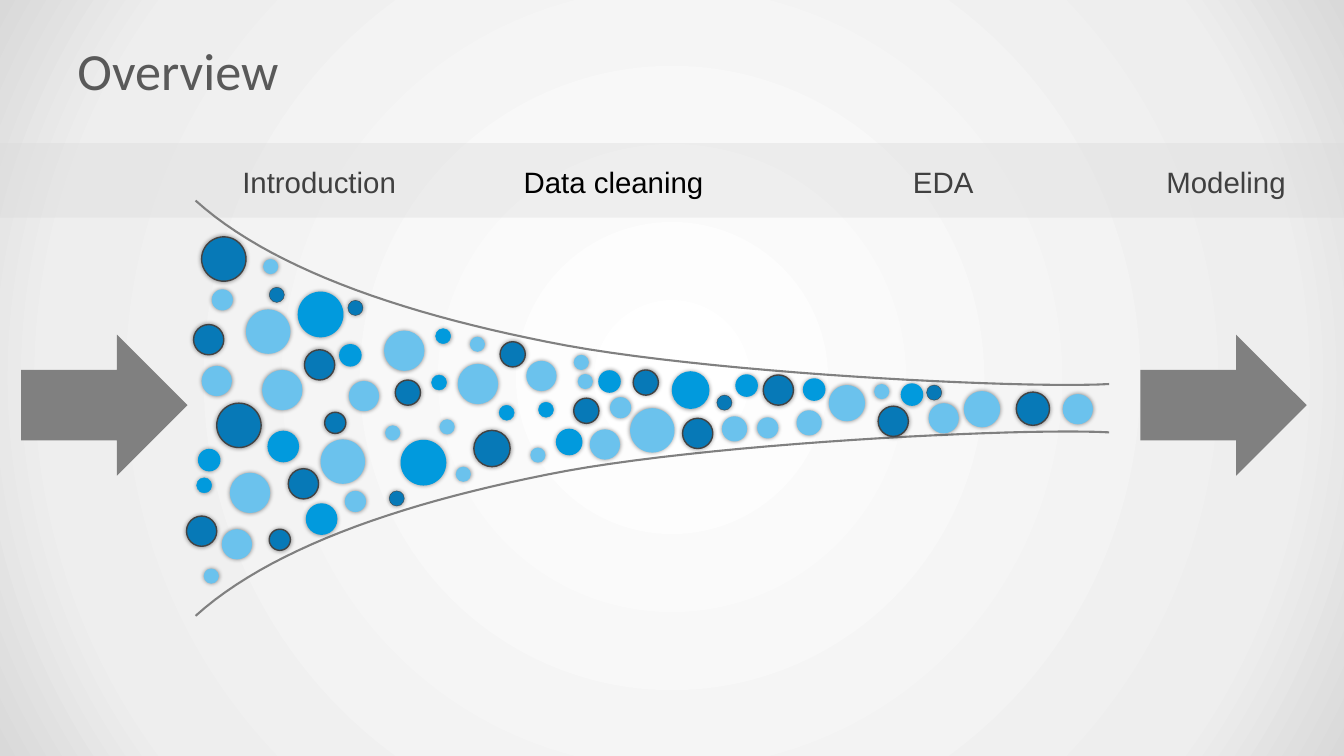
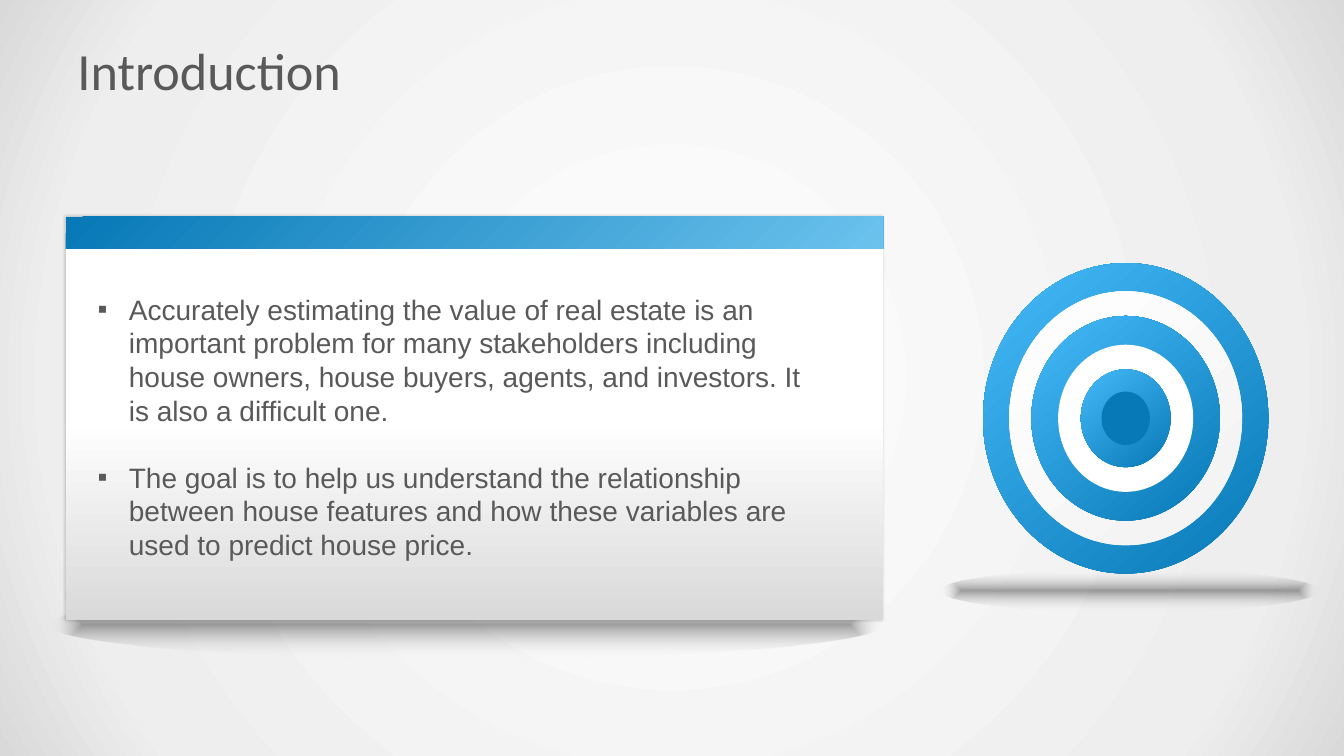
from lxml.etree import SubElement as Sub
from pptx import Presentation as Deck
from pptx.dml.color import RGBColor as Rgb
from pptx.enum.shapes import MSO_SHAPE as Kind
from pptx.enum.text import MSO_ANCHOR as Anchor, PP_ALIGN as Align
from pptx.oxml.ns import qn
from pptx.util import Inches, Pt

HUES = {
    "navy": "0779B7", "blue": "019ADD", "sky": "6BC2ED", "glow": "46B9F8",
    "white": "FFFFFF", "pale": "F2F2F2", "mist": "EEEEEE", "silver": "D9D9D9",
    "grey": "808080", "text": "595959", "label": "404040", "edge": "434343",
    "ink": "0D0D0D", "black": "000000",
}
EDGES = {"blue": "blue", "sky": None, "navy": "edge"}
DOTS = {
    "blue": {
        0.44: [(2.96, 2.9), (3.98, 4.37)],
        0.36: [(6.67, 3.69)],
        0.3: [(2.66, 4.28), (3.04, 5)],
        0.25: [(5.52, 4.26)],
        0.21: [(3.37, 3.42), (1.97, 4.46), (7.3, 3.72), (5.94, 3.68),
               (8.94, 3.81), (7.97, 3.76)],
        0.15: [(5.34, 3.99), (4.32, 3.26), (4.95, 4.02), (4.28, 3.72),
               (1.95, 4.74)],
    },
    "sky": {
        0.44: [(3.18, 4.36), (2.44, 3.07), (6.25, 4.05)],
        0.4: [(2.6, 3.67), (4.54, 3.61), (3.81, 3.28), (2.28, 4.69)],
        0.36: [(8.22, 3.82), (9.56, 3.88)],
        0.3: [(5.22, 3.58), (3.46, 3.78), (2, 3.63), (2.2, 5.25),
              (5.85, 4.26), (9.21, 4), (10.54, 3.91)],
        0.25: [(7.16, 4.13), (7.9, 4.07)],
        0.21: [(3.42, 4.87), (2.1, 2.87), (6.05, 3.94), (7.51, 4.14)],
        0.15: [(4.36, 4.16), (5.26, 4.44), (3.82, 4.22), (4.52, 4.63),
               (4.66, 3.34), (2.61, 2.57), (2.02, 5.64), (5.69, 3.52),
               (5.73, 3.71), (8.67, 3.81)],
    },
    "navy": {
        0.44: [(2, 2.35), (2.15, 4)],
        0.36: [(4.7, 4.27)],
        0.33: [(10.08, 3.89)],
        0.3: [(3.02, 3.47), (1.92, 3.22), (2.86, 4.65), (1.85, 5.12),
              (6.77, 4.15), (8.71, 4.03), (7.57, 3.72)],
        0.25: [(3.92, 3.77), (4.96, 3.39), (6.28, 3.67), (5.69, 3.95)],
        0.21: [(3.22, 4.09), (2.67, 5.25)],
        0.15: [(3.86, 4.87), (3.45, 2.98), (2.67, 2.85), (7.11, 3.92),
               (9.19, 3.82)],
    },
}
CURVE = [
    [(11, 3.81), (10.15, 3.86), (6.93, 3.7), (5.42, 3.39)],
    [(5.42, 3.39), (3.91, 3.09), (2.66, 2.64), (1.94, 1.99)],
]
AXIS = 4.05
STEPS = 24
STAGES = [
    ("Introduction", 2.17, 1.99, "label"),
    ("Data cleaning", 5.07, 2.03, "black"),
    ("EDA", 8.41, 1.89, "label"),
    ("Modeling", 10.98, 2.36, "label"),
]
BLUES = [(0, "navy", 100), (100, "glow", 100)]
WHITES = [(0, "pale", 100), (100, "white", 100)]
SHADE = [(0, "ink", 38), (100, "white", 0)]
RINGS = [
    (2.83, 3.08, BLUES), (2.31, 2.52, WHITES), (1.87, 2.03, BLUES),
    (1.34, 1.46, "white"), (0.89, 0.97, BLUES), (0.48, 0.53, "navy"),
]
HUB = (11.165, 4.15)
POINTS = [
    "Accurately estimating the value of real estate is an important problem "
    "for many stakeholders including house owners, house buyers, agents, and "
    "investors. It is also a difficult one.",
    "The goal is to help us understand the relationship between house "
    "features and how these variables are used to predict house price.",
]


def hue(name):
    return Rgb.from_string(HUES[name])


def node(root, tag, **atts):
    return Sub(root, qn(tag), {key: str(val) for key, val in atts.items()})


def tint(root, name, clear):
    color = node(root, "a:srgbClr", val=HUES[name])
    if clear < 100:
        node(color, "a:alpha", val=clear * 1000)


def blend(root, fill, stops, way):
    fill.background()
    old = next(root.iter(qn("a:noFill")))
    grad = node(old.getparent(), "a:gradFill", rotWithShape=1)
    old.getparent().replace(old, grad)
    row = node(grad, "a:gsLst")
    for place, name, clear in stops:
        tint(node(row, "a:gs", pos=place * 1000), name, clear)
    if isinstance(way, str):
        track = node(grad, "a:path", path=way)
        node(track, "a:fillToRect", l=50000, t=50000, r=50000, b=50000)
    else:
        node(grad, "a:lin", ang=way * 60000, scaled=0)


def draw(home, kind, box, paint, way=0, edge=None, width=1):
    shape = home.add_shape(kind, *map(Inches, box))
    shape.shadow.inherit = False
    if isinstance(paint, str):
        shape.fill.solid()
        shape.fill.fore_color.rgb = hue(paint)
    else:
        blend(shape.element, shape.fill, paint, way)
    if edge:
        shape.line.color.rgb = hue(edge)
        shape.line.width = Pt(width)
    else:
        shape.line.fill.background()
    return shape


def cast(shape, clear, blur, way=0):
    root = shape.element.spPr.find(qn("a:effectLst"))
    shade = node(root, "a:outerShdw", blurRad=Pt(blur), dist=0,
                 dir=way * 60000, algn="ctr", rotWithShape=0)
    tint(shade, "black", clear)


def write(home, box, lines, size, color, font="Arial", side=Align.LEFT,
          anchor=Anchor.MIDDLE):
    frame = home.add_textbox(*map(Inches, box)).text_frame
    frame.word_wrap = True
    frame.vertical_anchor = anchor
    for num, line in enumerate(lines):
        para = frame.add_paragraph() if num else frame.paragraphs[0]
        para.alignment = side
        run = para.add_run()
        run.text = line
        run.font.size = Pt(size)
        run.font.name = font
        run.font.color.rgb = hue(color)
    return frame.paragraphs


def mark(para):
    props = para._p.get_or_add_pPr()
    props.set("marL", str(Inches(0.31)))
    props.set("indent", str(Inches(-0.31)))
    node(props, "a:buFont", typeface="Arial")
    node(props, "a:buChar", char="▪")


def bend(ends, part):
    rest = 1 - part
    loads = (rest ** 3, 3 * rest ** 2 * part, 3 * rest * part ** 2, part ** 3)
    return [sum(load * end[dim] for load, end in zip(loads, ends))
            for dim in (0, 1)]


def wall(home, flip):
    spots = [bend(ends, step / STEPS)
             for ends in CURVE for step in range(STEPS + 1)]
    spots = [(Inches(x), Inches(2 * AXIS - y if flip else y))
             for x, y in spots]
    pen = home.build_freeform(*spots[0])
    pen.add_line_segments(spots[1:], close=False)
    shape = pen.convert_to_shape()
    shape.shadow.inherit = False
    shape.fill.background()
    shape.line.color.rgb = hue("grey")
    shape.line.width = Pt(1.5)


def scatter(home, name):
    for size, spots in DOTS[name].items():
        width = 0.25 if size == 0.15 else 1
        for x, y in spots:
            dot = draw(home, Kind.OVAL, (x, y, size, size), name,
                       edge=EDGES[name], width=width)
            cast(dot, 40, 3)


def target(home):
    for wide, high, paint in RINGS:
        box = (HUB[0] - wide / 2, HUB[1] - high / 2, wide, high)
        draw(home, Kind.OVAL, box, paint, 230)


def panel(home):
    card = draw(home, Kind.RECTANGLE, (0.65, 2.15, 8.11, 4),
                [(0, "white", 100), (50, "white", 100), (100, "silver", 100)],
                90)
    cast(card, 20, 2, 45)
    draw(home, Kind.RECTANGLE, (0.65, 2.15, 8.11, 0.32),
         [(0, "navy", 100), (100, "sky", 100)], 45)
    paras = write(home, (0.87, 2.85, 7.33, 2.79), POINTS, 20, "text",
                  anchor=Anchor.TOP)
    paras[1].space_before = Pt(24)
    for para in paras:
        mark(para)


def start(deck, title):
    home = deck.slides.add_slide(deck.slide_layouts[6]).shapes
    write(home, (0.67, 0.3, 12, 0.78), [title], 37.3, "text", "Calibri")
    return home


def funnel(deck):
    home = start(deck, "Overview")
    band = draw(home, Kind.RECTANGLE, (0, 1.42, 13.33, 0.74), "silver")
    color = next(band.element.spPr.iter(qn("a:srgbClr")))
    node(color, "a:alpha", val=36000)
    for flip in (False, True):
        wall(home, flip)
    for name in DOTS:
        scatter(home.add_group_shape().shapes, name)
    for label, left, wide, color in STAGES:
        write(home, (left, 1.44, wide, 0.73), [label], 21, color,
              side=Align.CENTER)
    for left in (0.21, 11.31):
        draw(home, Kind.RIGHT_ARROW, (left, 3.32, 1.65, 1.4), "grey")


def intro(deck):
    home = start(deck, "Introduction")
    for box in ((0.49, 5.86, 8.26, 0.67), (9.33, 5.65, 3.75, 0.42)):
        draw(home, Kind.OVAL, box, SHADE, "shape")
    target(home.add_group_shape().shapes)
    panel(home.add_group_shape().shapes)


def main():
    deck = Deck()
    deck.slide_width, deck.slide_height = Inches(13.33), Inches(7.5)
    base = deck.slide_master
    blend(base.element, base.background.fill,
          [(0, "white", 100), (81, "mist", 100), (100, "silver", 100)],
          "circle")
    funnel(deck)
    intro(deck)
    deck.save("out.pptx")


if __name__ == "__main__":
    main()
